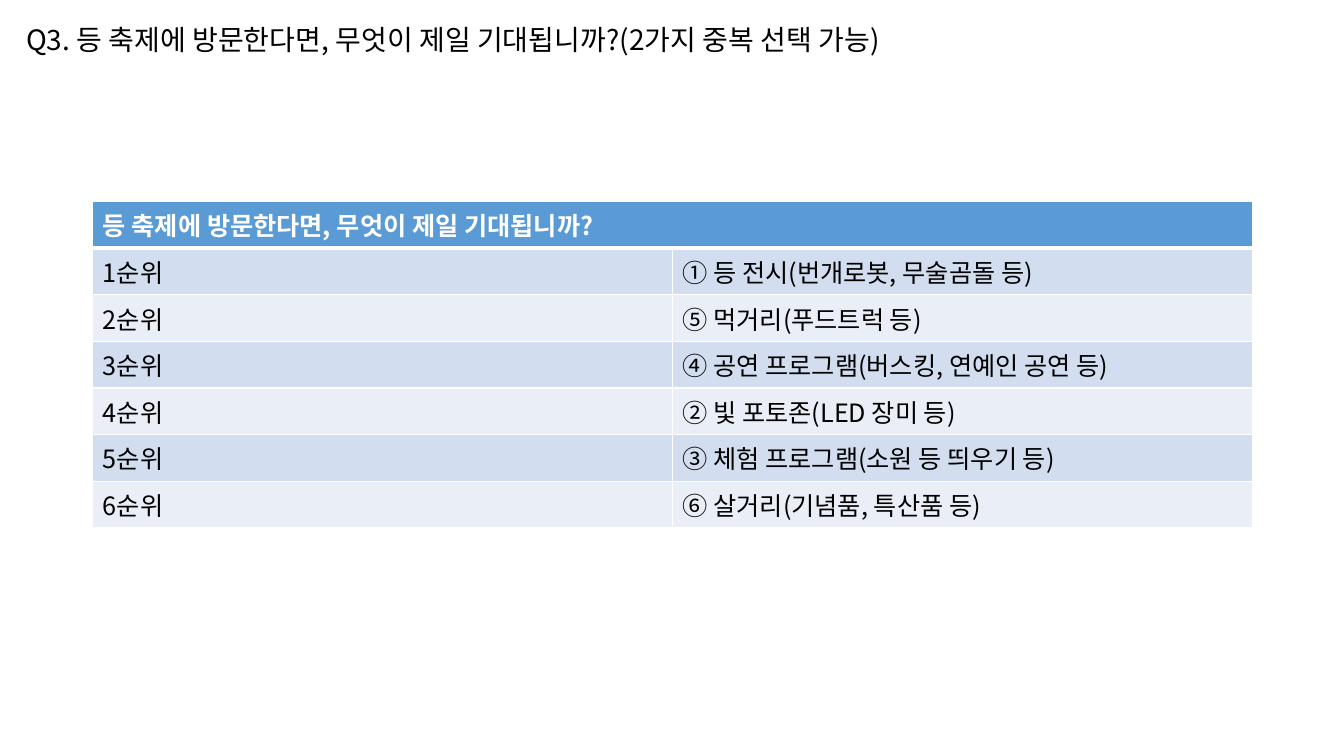
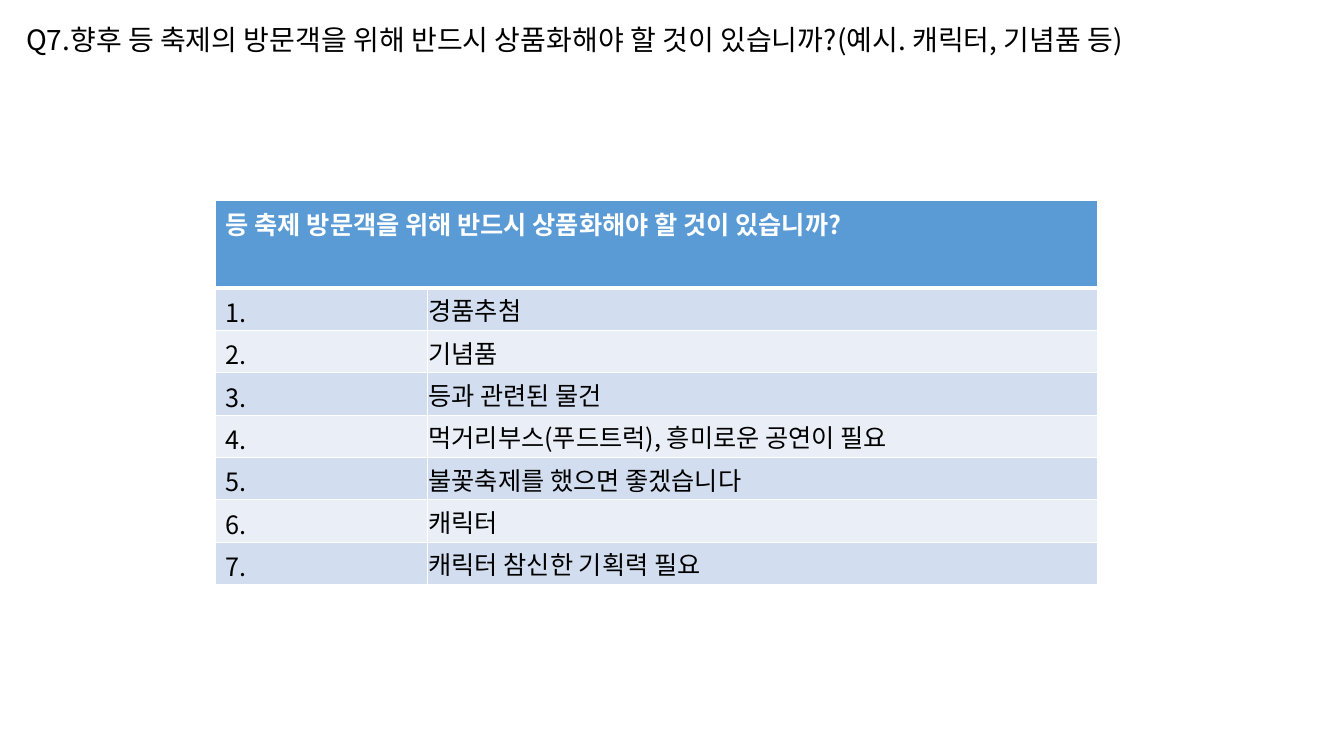
from dataclasses import dataclass

import lxml.etree
import pptx
import pptx.dml.color
import pptx.enum.text
import pptx.oxml.ns
import pptx.presentation
import pptx.slide
import pptx.table
import pptx.text.text
import pptx.util

Inches = pptx.util.Inches
RGBColor = pptx.dml.color.RGBColor
qn = pptx.oxml.ns.qn

# Shared style
FONT = "Noto Sans CJK KR"
BLACK = RGBColor(0x00, 0x00, 0x00)
WHITE = RGBColor(0xFF, 0xFF, 0xFF)
HEADER_BLUE = RGBColor(0x5B, 0x9B, 0xD5)
BANDS = (RGBColor(0xD2, 0xDE, 0xEF), RGBColor(0xEA, 0xEF, 0xF7))
TITLE_SIZE = 20
TABLE_SIZE = 18
THIN_BORDER = 1
HEADER_BORDER = 3


@dataclass(frozen=True)
class Survey:
    question: str
    question_width: float
    heading: str
    answers: tuple[tuple[str, str], ...]
    left: float
    top: float
    column_widths: tuple[float, float]
    header_height: float
    row_height: float
    tight_answers: bool = False


EXPECTATIONS = (
    "① 등 전시(번개로봇, 무술곰돌 등)",
    "⑤ 먹거리(푸드트럭 등)",
    "④ 공연 프로그램(버스킹, 연예인 공연 등)",
    "② 빛 포토존(LED 장미 등)",
    "③ 체험 프로그램(소원 등 띄우기 등)",
    "⑥ 살거리(기념품, 특산품 등)",
)
PRODUCT_IDEAS = (
    "경품추첨",
    "기념품",
    "등과 관련된 물건",
    "먹거리부스(푸드트럭), 흥미로운 공연이 필요",
    "불꽃축제를 했으면 좋겠습니다",
    "캐릭터",
    "캐릭터 참신한 기획력 필요",
)

SURVEYS = (
    Survey(
        question="Q3. 등 축제에 방문한다면, 무엇이 제일 기대됩니까?(2가지 중복 선택 가능)",
        question_width=9.61,
        heading="등 축제에 방문한다면, 무엇이 제일 기대됩니까?",
        answers=tuple((f"{rank}순위", text) for rank, text in enumerate(EXPECTATIONS, 1)),
        left=0.92,
        top=2,
        column_widths=(5.75, 5.75),
        header_height=0.41,
        row_height=0.41,
    ),
    Survey(
        question="Q7.향후 등 축제의 방문객을 위해 반드시 상품화해야 할 것이 있습니까?(예시. 캐릭터, 기념품 등)",
        question_width=12.25,
        heading="등 축제 방문객을 위해 반드시 상품화해야 할 것이 있습니까?",
        answers=tuple((f"{number}.", text) for number, text in enumerate(PRODUCT_IDEAS, 1)),
        left=2.14,
        top=1.99,
        column_widths=(2.1, 6.65),
        header_height=0.87,
        row_height=0.42,
        tight_answers=True,
    ),
)


def add_text(paragraph: pptx.text.text._Paragraph, text: str, size: float,
             color: RGBColor, bold: bool = False) -> None:
    run = paragraph.add_run()
    run.text = text
    run.font.name = FONT
    run.font.size = pptx.util.Pt(size)
    run.font.bold = bold
    run.font.color.rgb = color
    # East Asian typeface follows the Latin one
    latin = run.font._element.find(qn("a:latin"))
    east_asian = lxml.etree.Element(qn("a:ea"), typeface=FONT)
    latin.addnext(east_asian)


def set_borders(cell: pptx.table._Cell, top: float, bottom: float) -> None:
    properties = cell._tc.get_or_add_tcPr()
    widths = {"a:lnL": THIN_BORDER, "a:lnR": THIN_BORDER, "a:lnT": top, "a:lnB": bottom}
    for tag, width in widths.items():
        line = lxml.etree.SubElement(properties, qn(tag), w=str(pptx.util.Pt(width)))
        fill = lxml.etree.SubElement(line, qn("a:solidFill"))
        lxml.etree.SubElement(fill, qn("a:srgbClr"), val=str(WHITE))


def paint_cell(cell: pptx.table._Cell, row: int) -> None:
    set_borders(
        cell,
        top=HEADER_BORDER if row == 1 else THIN_BORDER,
        bottom=HEADER_BORDER if row == 0 else THIN_BORDER,
    )
    cell.fill.solid()
    cell.fill.fore_color.rgb = HEADER_BLUE if row == 0 else BANDS[(row - 1) % 2]


def add_question(slide: pptx.slide.Slide, survey: Survey) -> None:
    box = slide.shapes.add_textbox(
        Inches(0.16), Inches(0.17), Inches(survey.question_width), Inches(0.44))
    frame = box.text_frame
    frame.word_wrap = False
    frame.auto_size = pptx.enum.text.MSO_AUTO_SIZE.SHAPE_TO_FIT_TEXT
    add_text(frame.paragraphs[0], survey.question, TITLE_SIZE, BLACK)


def add_answer_table(slide: pptx.slide.Slide, survey: Survey) -> None:
    heights = [survey.header_height] + [survey.row_height] * len(survey.answers)
    table = slide.shapes.add_table(
        len(heights), 2, Inches(survey.left), Inches(survey.top),
        Inches(sum(survey.column_widths)), Inches(sum(heights))).table
    table.horz_banding = False
    for column, width in zip(table.columns, survey.column_widths):
        column.width = Inches(width)
    for index, height in enumerate(heights):
        table.rows[index].height = Inches(height)
        for column in range(2):
            paint_cell(table.cell(index, column), index)

    # Heading across both columns
    heading = table.cell(0, 0)
    heading.merge(table.cell(0, 1))
    add_text(heading.text_frame.paragraphs[0], survey.heading, TABLE_SIZE, WHITE, bold=True)

    # Ranked answers
    for index, texts in enumerate(survey.answers, 1):
        for column, text in enumerate(texts):
            cell = table.cell(index, column)
            add_text(cell.text_frame.paragraphs[0], text, TABLE_SIZE, BLACK)
        if survey.tight_answers:
            answer = table.cell(index, 1)
            answer.vertical_anchor = pptx.enum.text.MSO_ANCHOR.MIDDLE
            answer.margin_left = answer.margin_top = answer.margin_right = Inches(0.01)
            answer.margin_bottom = Inches(0)


def add_survey_slide(presentation: pptx.presentation.Presentation, survey: Survey) -> None:
    slide = presentation.slides.add_slide(presentation.slide_layouts[6])
    add_answer_table(slide, survey)
    add_question(slide, survey)


def main() -> None:
    presentation = pptx.Presentation()
    presentation.slide_width = Inches(13.33)
    presentation.slide_height = Inches(7.5)
    for survey in SURVEYS:
        add_survey_slide(presentation, survey)
    presentation.save("out.pptx")


if __name__ == "__main__":
    main()
